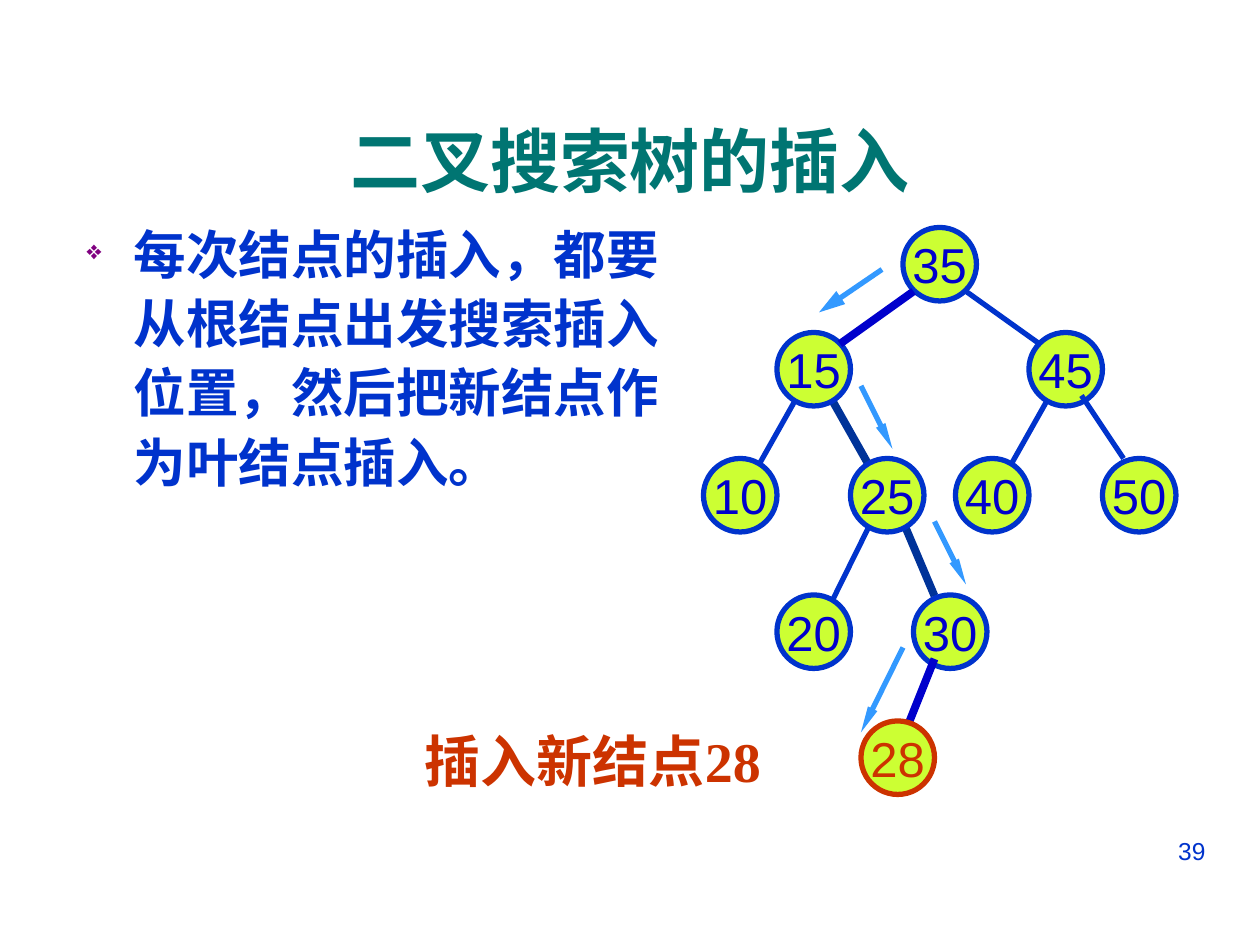
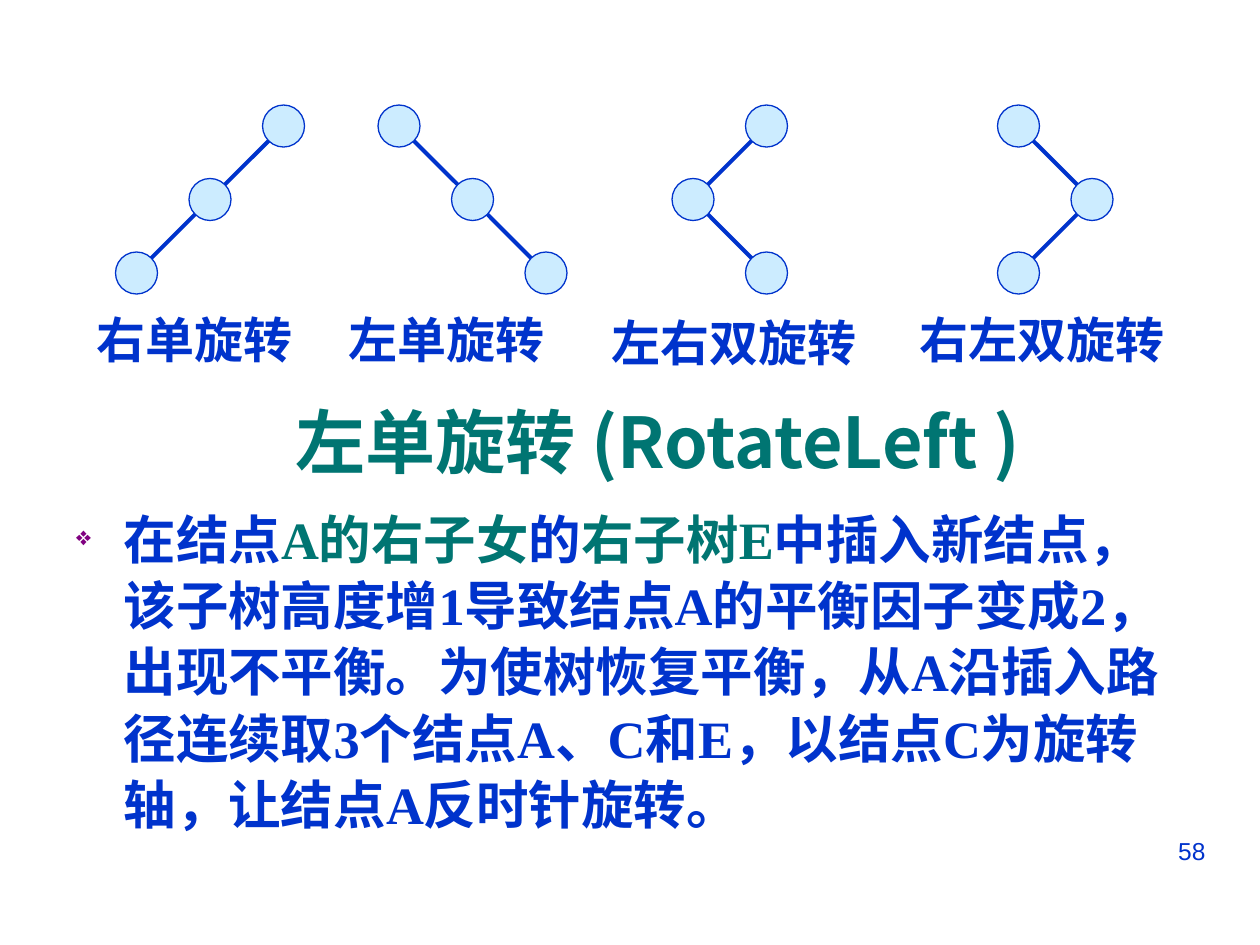
"""Build two slides on inserting into and rotating binary search trees."""
from itertools import pairwise
from lxml.etree import SubElement
from pptx import Presentation
from pptx.dml.color import RGBColor
from pptx.enum.shapes import MSO_CONNECTOR, MSO_SHAPE
from pptx.enum.text import MSO_ANCHOR, PP_ALIGN
from pptx.oxml.ns import qn
from pptx.util import Pt

HUES = {"blue": "0033CC", "navy": "003399", "ink": "0000CC", "sky": "3399FF",
        "teal": "007572", "red": "CC3300", "lime": "CCFF33", "pale": "CCECFF",
        "plum": "800080"}
TINT = {name: RGBColor.from_string(code) for name, code in HUES.items()}
SERIF, SANS, CJK = "Times New Roman", "Arial", "Noto Sans CJK JP"


def style(par, size, face, hue, bold=True):
    for run in par.runs:
        run.font.size, run.font.bold = Pt(size), bold
        run.font.color.rgb = TINT[hue]
        run.font.name = face
        SubElement(run._r.rPr, qn("a:ea"), typeface=CJK)


def draw(slide, ends, hue, width, head=None):
    line = slide.shapes.add_connector(MSO_CONNECTOR.STRAIGHT, *map(Pt, ends))
    line.line.color.rgb, line.line.width = TINT[hue], Pt(width)
    if head:
        SubElement(line.line._get_or_add_ln(), qn("a:tailEnd"),
                   type="triangle", w=head, len="lg")
    SubElement(line._element.spPr, qn("a:effectLst"))


deck = Presentation()
deck.slide_width, deck.slide_height = Pt(720), Pt(540)

pages = [
    {"number": "39", "title": "二叉搜索树的插入", "face": SANS,
     "head": (24, 54, 672, 74), "body": (42.5, 119.5, 354, 306), "lead": 1.1,
     "runs": [("每次结点的插入，都要从根结点出发搜索插入位置，然后把新结点作为叶结点插入。", "blue")]},
    {"number": "58", "title": "左单旋转 (RotateLeft )", "face": CJK,
     "head": (150.5, 227.5, 451, 48), "body": (36.5, 284.5, 648, 209.5), "lead": 1.05,
     "runs": [("在结点", "blue"), ("A的右子女", "teal"), ("的", "blue"),
              ("右子树E", "teal"),
              ("中插入新结点，该子树高度增1导致结点A的平衡因子变成2，出现不平衡。"
               "为使树恢复平衡，从A沿插入路径连续取3个结点A、C和E，"
               "以结点C为旋转轴，让结点A反时针旋转。", "blue")]},
]
slides = []
for page in pages:
    slide = deck.slides.add_slide(deck.slide_layouts[5])
    slides.append(slide)

    title = slide.shapes.title
    title.left, title.top, title.width, title.height = map(Pt, page["head"])
    title.text_frame.text = page["title"]
    title.text_frame.vertical_anchor = MSO_ANCHOR.MIDDLE
    par = title.text_frame.paragraphs[0]
    par.alignment = PP_ALIGN.CENTER
    style(par, 40, page["face"], "teal")

    frame = slide.shapes.add_textbox(*map(Pt, page["body"])).text_frame
    frame.word_wrap = True
    par = frame.paragraphs[0]
    par.line_spacing = page["lead"]
    props = par._p.get_or_add_pPr()
    props.set("marL", str(Pt(27)))
    props.set("indent", str(-Pt(27)))
    tone = SubElement(props, qn("a:buClr"))
    SubElement(tone, qn("a:srgbClr"), val=HUES["plum"])
    SubElement(props, qn("a:buSzPct"), val="50000")
    SubElement(props, qn("a:buChar"), char="❖")
    for text, hue in page["runs"]:
        par.add_run().text = text
    style(par, 30, SERIF, "blue")
    for run, (text, hue) in zip(par.runs, page["runs"]):
        run.font.color.rgb = TINT[hue]

    foot = slide.shapes.add_textbox(Pt(516), Pt(474), Pt(180), Pt(37.5))
    foot.text_frame.text = page["number"]
    par = foot.text_frame.paragraphs[0]
    par.alignment = PP_ALIGN.RIGHT
    style(par, 14, SANS, "blue", False)

tree, turns = slides

under = [((600, 226, 576, 268.5), "blue", 3), ((516, 298, 534, 340.5), "navy", 4.5),
         ((498, 298, 474, 346.5), "blue", 3), ((456, 226, 432, 268.5), "blue", 3),
         ((474, 226, 498, 268.5), "navy", 4.5)]
over = [((522, 166.5, 480, 196.5), "ink", 4.5), ((552, 166.5, 594, 196.5), "blue", 3),
        ((618, 226, 642, 262), "blue", 3), ((534, 376.5, 510, 436.5), "ink", 4.5)]
steps = [((504, 154, 468, 178.5), "sky", 3, "med"), ((492, 220.5, 510, 256.5), "sky", 3, "sm"),
         ((534, 298, 552, 334), "sky", 3, "sm"), ((516, 370, 492, 418.5), "sky", 3, "sm")]
old = [(35, 516, 130), (15, 444, 190), (45, 588, 190), (50, 630, 262), (40, 546, 262),
       (25, 486, 262), (10, 402, 262), (20, 444, 340), (30, 522, 340)]

for edges, nodes, rim, ink in [(under, old, "blue", "ink"),
                               (over + steps, [(28, 492, 412)], "red", "red")]:
    for edge in edges:
        draw(tree, *edge)
    for key, left, top in nodes:
        node = tree.shapes.add_shape(MSO_SHAPE.OVAL, Pt(left), Pt(top), Pt(42), Pt(42))
        node.shadow.inherit = False
        node.fill.solid()
        node.fill.fore_color.rgb = TINT["lime"]
        node.line.color.rgb, node.line.width = TINT[rim], Pt(3)
        node.text_frame.text = str(key)
        node.text_frame.word_wrap = False
        node.text_frame.vertical_anchor = MSO_ANCHOR.MIDDLE
        par = node.text_frame.paragraphs[0]
        par.alignment = PP_ALIGN.CENTER
        style(par, 28, SANS, ink, False)

note = tree.shapes.add_textbox(Pt(235.5), Pt(411.5), Pt(234), Pt(45.5))
note.text_frame.word_wrap = True
note.text_frame.text = "插入新结点28"
style(note.text_frame.paragraphs[0], 32, SERIF, "red")

rows = (72, 114, 156)
for name, cols, left, top in [
        ("右单旋转", (162, 120, 78), 48, 173.5),
        ("左单旋转", (228, 270, 312), 192, 173.5),
        ("左右双旋转", (438, 396, 438), 342.5, 175),
        ("右左双旋转", (582, 624, 582), 518.5, 173.5)]:
    spots = list(zip(cols, rows))
    for start, end in pairwise(spots):
        draw(turns, start + end, "blue", 2.25)
    for x, y in spots:
        ring = turns.shapes.add_shape(MSO_SHAPE.OVAL, Pt(x - 12), Pt(y - 12), Pt(24), Pt(24))
        ring.shadow.inherit = False
        ring.fill.solid()
        ring.fill.fore_color.rgb = TINT["pale"]
        ring.line.color.rgb, ring.line.width = TINT["blue"], Pt(0.75)
    label = turns.shapes.add_textbox(Pt(left), Pt(top), Pt(28 * len(name) + 14.4), Pt(41))
    label.text_frame.word_wrap = False
    label.text_frame.text = name
    style(label.text_frame.paragraphs[0], 28, SERIF, "blue")

deck.save("out.pptx")
